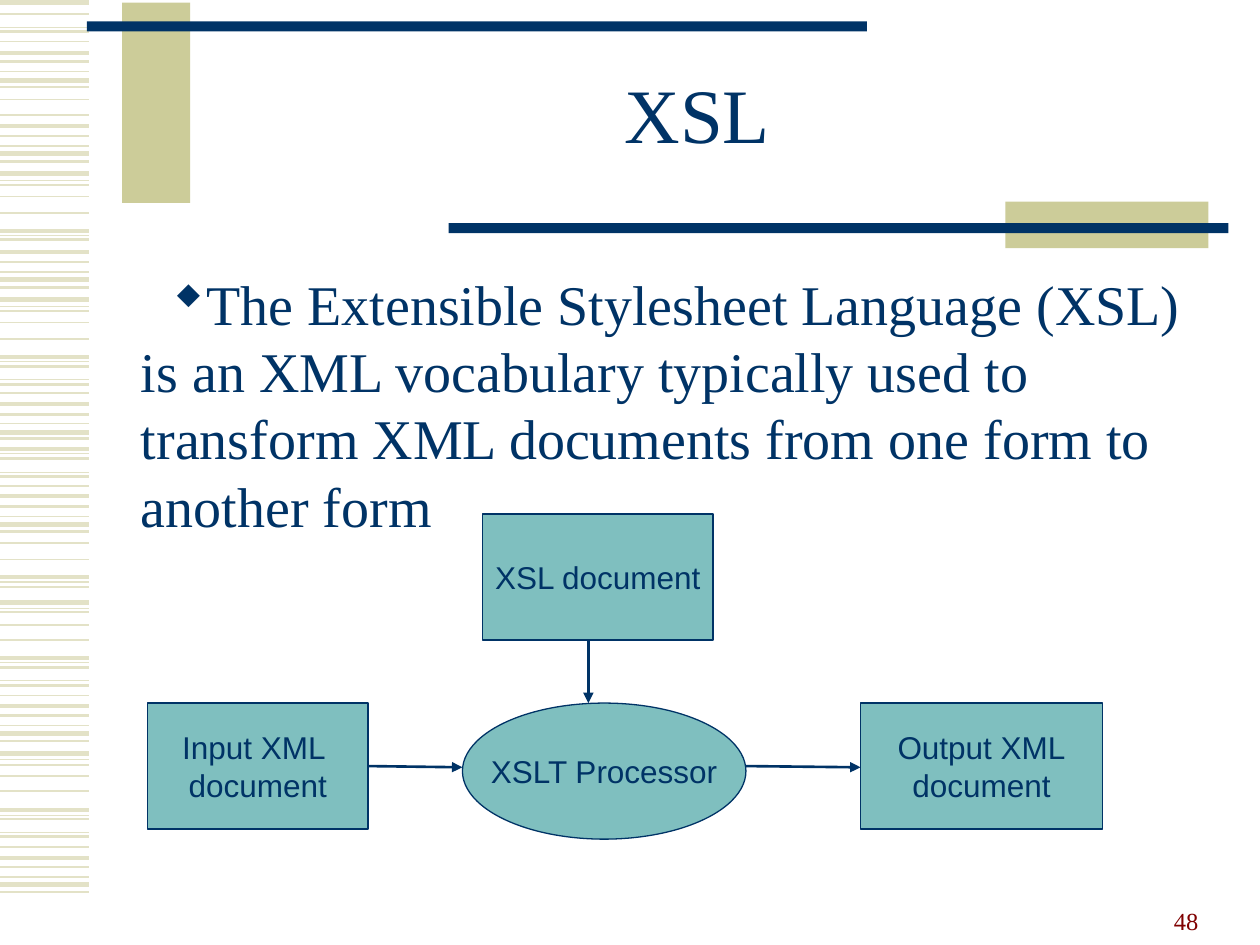
from dataclasses import dataclass

from lxml.etree import SubElement
from pptx import Presentation
from pptx.dml.color import RGBColor
from pptx.enum.shapes import MSO_CONNECTOR, MSO_SHAPE
from pptx.enum.text import MSO_ANCHOR, PP_ALIGN
from pptx.oxml.ns import qn
from pptx.util import Inches, Pt


@dataclass(frozen=True)
class Theme:
    navy: RGBColor = RGBColor(0x00, 0x33, 0x66)
    khaki: RGBColor = RGBColor(0xCC, 0xCC, 0x99)
    stripe: RGBColor = RGBColor(0xE3, 0xE2, 0xC7)
    teal: RGBColor = RGBColor(0x00, 0x80, 0x80)
    maroon: RGBColor = RGBColor(0x80, 0x00, 0x00)
    serif: str = "Times New Roman"
    sans: str = "Arial"
    symbols: str = "Wingdings"
    title_size: int = 44
    body_size: int = 32
    label_size: int = 18
    number_size: int = 14


theme = Theme()
presentation = Presentation()
presentation.slide_width = Inches(10)
presentation.slide_height = Inches(7.5)
slide = presentation.slides.add_slide(presentation.slide_layouts[5])
shapes = slide.shapes


def add_line(start, end, color, width):
    ends = [Inches(value) for value in (*start, *end)]
    line = shapes.add_connector(MSO_CONNECTOR.STRAIGHT, *ends)
    line.line.color.rgb = color
    line.line.width = Pt(width)
    SubElement(line._element.spPr, qn("a:effectLst"))
    return line


def write(shape, text, font_name, size, color, alignment, anchor):
    frame = shape.text_frame
    frame.text = text
    frame.vertical_anchor = anchor
    for paragraph in frame.paragraphs:
        paragraph.alignment = alignment
        for run in paragraph.runs:
            run.font.name = font_name
            run.font.size = Pt(size)
            run.font.color.rgb = color
    return frame


# Striped left margin: line width in points -> heights in inches
stripes = {
    3: [0.02, 0.64, 1.22, 1.38, 2.22, 2.38, 3.43, 4.16, 4.78, 5.82, 5.98, 7.02],
    2.25: [0.42, 1, 1.83, 2, 2.83, 3.21, 3.56, 3.94, 4.58, 5.22, 5.6, 6.43, 6.81],
    1.5: [0.11, 0.25, 0.49, 0.69, 1.08, 1.28, 1.9, 2.08, 2.28, 2.91, 3.05, 3.29, 3.48,
          3.64, 3.78, 4.02, 4.22, 4.66, 5.3, 5.44, 5.68, 5.88, 6.5, 6.64, 6.88, 7.08],
    1: [0.33, 0.79, 0.91, 1.47, 1.56, 1.69, 2.47, 2.56, 2.69, 3.12, 3.86, 4.31, 4.44,
        4.86, 4.96, 5.08, 5.52, 6.07, 6.16, 6.28, 6.72],
    0.75: [0.22, 0.57, 1.16, 1.43, 1.87, 2.16, 2.43, 2.87, 3.01, 3.36, 3.6, 3.75, 4.1,
           4.62, 4.83, 5.26, 5.4, 5.76, 6.03, 6.47, 6.61, 6.96],
}
for width, heights in stripes.items():
    for y in heights:
        add_line((0, y), (0.71, y), theme.stripe, width)

# Bars around the title
bars = [
    (0.97, 0.02, 0.54, 1.59, theme.khaki),
    (0.69, 0.17, 6.19, 0.08, theme.navy),
    (7.98, 1.6, 1.61, 0.37, theme.khaki),
    (3.56, 1.77, 6.19, 0.08, theme.navy),
]
for *box, color in bars:
    bar = shapes.add_shape(MSO_SHAPE.RECTANGLE, *map(Inches, box))
    bar.shadow.inherit = False
    bar.fill.solid()
    bar.fill.fore_color.rgb = color
    bar.line.fill.background()

title = shapes.title
title.left, title.top, title.width, title.height = map(Inches, (1.5, 0.33, 8.07, 1.25))
title_frame = write(title, "XSL", theme.serif, theme.title_size, theme.navy,
                    PP_ALIGN.CENTER, MSO_ANCHOR.MIDDLE)
title_frame.paragraphs[0].line_spacing = 0.85

# Bulleted statement
body = shapes.add_textbox(*map(Inches, (0.89, 2.09, 8.7, 4.24)))
body_frame = write(
    body,
    "The Extensible Stylesheet Language (XSL) is an XML vocabulary typically used to "
    "transform XML documents from one form to another form",
    theme.serif, theme.body_size, theme.navy, PP_ALIGN.LEFT, MSO_ANCHOR.TOP)
body_frame.word_wrap = True
properties = body_frame.paragraphs[0]._p.get_or_add_pPr()
properties.set("marL", str(Inches(0.13)))
properties.set("indent", str(Inches(0.25)))
bullet_color = SubElement(properties, qn("a:buClr"))
SubElement(bullet_color, qn("a:srgbClr"), val=str(theme.navy))
SubElement(properties, qn("a:buFont"), typeface=theme.symbols, charset="2")
SubElement(properties, qn("a:buChar"), char="w")  # a diamond in the symbol font

# Transformation diagram
nodes = [
    (MSO_SHAPE.RECTANGLE, 3.83, 4.08, 1.83, 1, "XSL document"),
    (MSO_SHAPE.RECTANGLE, 1.17, 5.58, 1.75, 1, "Input XML \ndocument"),
    (MSO_SHAPE.OVAL, 3.67, 5.58, 2.25, 1.08, "XSLT Processor"),
    (MSO_SHAPE.RECTANGLE, 6.83, 5.58, 1.92, 1, "Output XML\ndocument"),
]
for kind, *box, label in nodes:
    node = shapes.add_shape(kind, *map(Inches, box))
    node.shadow.inherit = False
    node.fill.solid()
    node.fill.fore_color.rgb = theme.teal
    fill_color = node._element.spPr.find(qn("a:solidFill"))[0]
    SubElement(fill_color, qn("a:alpha"), val="50000")
    node.line.color.rgb = theme.navy
    node.line.width = Pt(0.75)
    node_frame = write(node, label, theme.sans, theme.label_size, theme.navy,
                       PP_ALIGN.CENTER, MSO_ANCHOR.MIDDLE)
    node_frame.word_wrap = False

arrows = [
    ((4.67, 5.08), (4.67, 5.58)),
    ((2.92, 6.08), (3.67, 6.09)),
    ((5.92, 6.08), (6.83, 6.09)),
]
for start, end in arrows:
    arrow = add_line(start, end, theme.navy, 1.5)
    SubElement(arrow.line._get_or_add_ln(), qn("a:tailEnd"), type="triangle")

page_number = shapes.add_textbox(*map(Inches, (7.21, 6.97, 2.4, 0.5)))
number_frame = write(page_number, "48", theme.serif, theme.number_size, theme.maroon,
                     PP_ALIGN.RIGHT, MSO_ANCHOR.BOTTOM)
number_frame.word_wrap = True

presentation.save("out.pptx")
